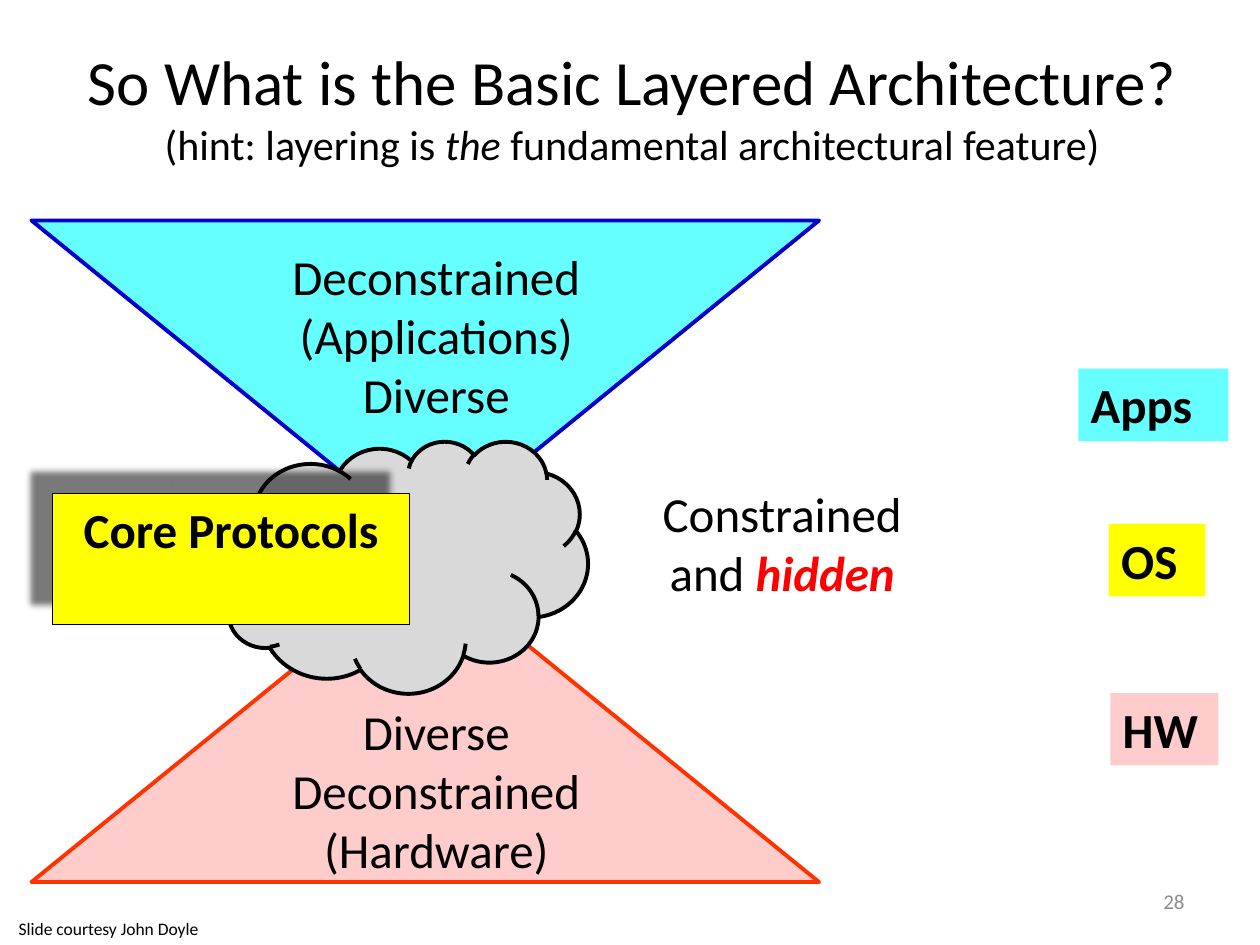
from lxml import etree
from pptx import Presentation
from pptx import util as u
from pptx.dml.color import RGBColor
from pptx.enum import shapes, text
from pptx.oxml.ns import qn

THEME = dict(
    font="Calibri", ink="000000", muted="8C8C8C", alert="FF0000",
    apps="66FFFF", apps_edge="0000CC", core="FFFF00",
    hardware="FFCCCC", hardware_edge="FF3300", cloud="D9D9D9",
    title=36, hint=24, body=28, page=12, credit=10,
)
COLS, ROWS = 120, 90  # grid over the slide; boxes are column, row, columns, rows

# Content: a paragraph is a list of (text, run format) pairs
TITLE = [
    [("So What is the Basic Layered Architecture?", {})],
    [("(hint: layering is ", dict(size="hint")),
     ("the", dict(size="hint", italic=True)),
     (" fundamental architectural feature)", dict(size="hint"))],
]
FUNNELS = [  # box, fill, edge, rotation
    ((3, 58, 75, 26), "hardware", "hardware_edge", 0),
    ((3, 21, 75, 26), "apps", "apps_edge", 180),
]
FUNNEL_LABELS = [
    ((25.1, 66.25, 32.9, 18.1), ["Diverse", "Deconstrained", "(Hardware)"]),
    ((25.1, 22.9, 32.9, 18.1), ["Deconstrained", "(Applications)", "Diverse"]),
]
WAIST = [
    [("Constrained", {})],
    [("and ", {}), ("hidden", dict(color="alert", bold=True, italic=True))],
]
TAGS = [  # text, box, fill
    ("Apps", (102.7, 35.1, 14.3, 6.9), "apps"),
    ("OS", (105.6, 49.9, 9.2, 6.9), "core"),
    ("HW", (105.75, 66, 10.3, 6.9), "hardware"),
]

deck = Presentation()
deck.slide_width, deck.slide_height = u.Inches(10), u.Inches(7.5)
slide = deck.slides.add_slide(deck.slide_layouts[6])


def place(box):
    units = (deck.slide_width / COLS, deck.slide_height / ROWS) * 2
    return [round(share * unit) for share, unit in zip(box, units)]


def color(name):
    return RGBColor.from_string(THEME[name])


def add_figure(kind, box, fill, edge=None, width=2.25):
    figure = slide.shapes.add_shape(kind, *place(box))
    figure.shadow.inherit = False
    figure.fill.solid()
    figure.fill.fore_color.rgb = color(fill)
    if edge:
        figure.line.color.rgb = color(edge)
        figure.line.width = u.Pt(width)
    else:
        figure.line.fill.background()
    return figure


def write(holder, paragraphs, align="CENTER", wrap=False, grow=True,
          anchor="TOP", **defaults):
    frame = holder.text_frame
    frame.word_wrap = wrap
    frame.vertical_anchor = text.MSO_ANCHOR[anchor]
    frame.auto_size = text.MSO_AUTO_SIZE["SHAPE_TO_FIT_TEXT" if grow else "NONE"]
    for index, parts in enumerate(paragraphs):
        line = frame.add_paragraph() if index else frame.paragraphs[0]
        line.alignment = text.PP_ALIGN[align]
        for words, extra in [(parts, {})] if isinstance(parts, str) else parts:
            style = dict(size="body", color="ink", bold=False, italic=False)
            style.update(defaults, **extra)
            run = line.add_run()
            run.text = words
            run.font.name = THEME["font"]
            run.font.size = u.Pt(THEME[style["size"]])
            run.font.color.rgb = color(style["color"])
            run.font.bold, run.font.italic = style["bold"], style["italic"]


def add_label(box, paragraphs, **style):
    write(slide.shapes.add_textbox(*place(box)), paragraphs, **style)


def cast_shadow(figure, tint, alpha, blur, distance, angle):
    effects = figure._element.spPr.find(qn("a:effectLst"))
    shadow = etree.SubElement(
        effects, qn("a:outerShdw"), blurRad=str(u.Pt(blur)),
        dist=str(u.Pt(distance)), dir=str(angle * 60000), rotWithShape="0")
    paint = etree.SubElement(shadow, qn("a:srgbClr"), val=THEME[tint])
    etree.SubElement(paint, qn("a:alpha"), val=str(alpha * 1000))


# Hourglass halves and their labels
for box, fill, edge, rotation in FUNNELS:
    funnel = add_figure(shapes.MSO_SHAPE.TRAPEZOID, box, fill, edge)
    funnel.adjustments[0] = 1.23
    funnel.rotation = rotation
for box, lines in FUNNEL_LABELS:
    add_label(box, lines)
add_label((60, 45.5, 29, 12.5), WAIST, wrap=True)

# Layer tags on the right
for name, box, fill in TAGS:
    tag = add_figure(shapes.MSO_SHAPE.RECTANGLE, box, fill)
    write(tag, [name], align="LEFT", bold=True)

# Cloud at the waist with the core box over it
add_figure(shapes.MSO_SHAPE.CLOUD, (21, 42, 35, 24), "cloud", "ink")
core = add_figure(shapes.MSO_SHAPE.RECTANGLE, (5, 47, 34, 12.5),
                  "core", "ink", width=0.75)
cast_shadow(core, "ink", alpha=53, blur=4, distance=17, angle=225)
write(core, ["Core Protocols"], wrap=True, bold=True)

# Credit, page number and title
add_label((0.6, 86.8, 19.8, 3.2), ["Slide courtesy John Doyle"],
          align="LEFT", size="credit")
add_label((86, 83.4, 28, 4.8), ["28"], align="RIGHT", wrap=True, grow=False,
          anchor="MIDDLE", size="page", color="muted")
add_label((6.4, 3.5, 107.6, 13.3), TITLE, size="title")

deck.save("out.pptx")
